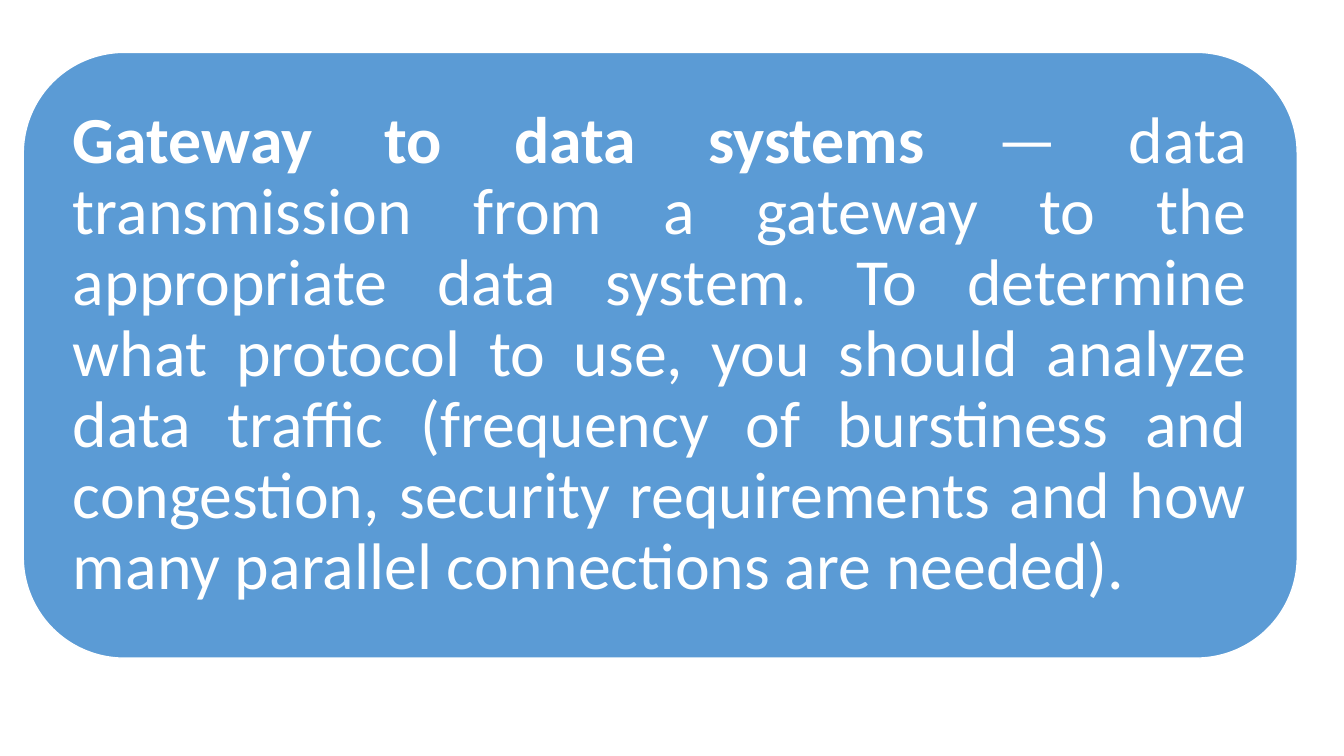
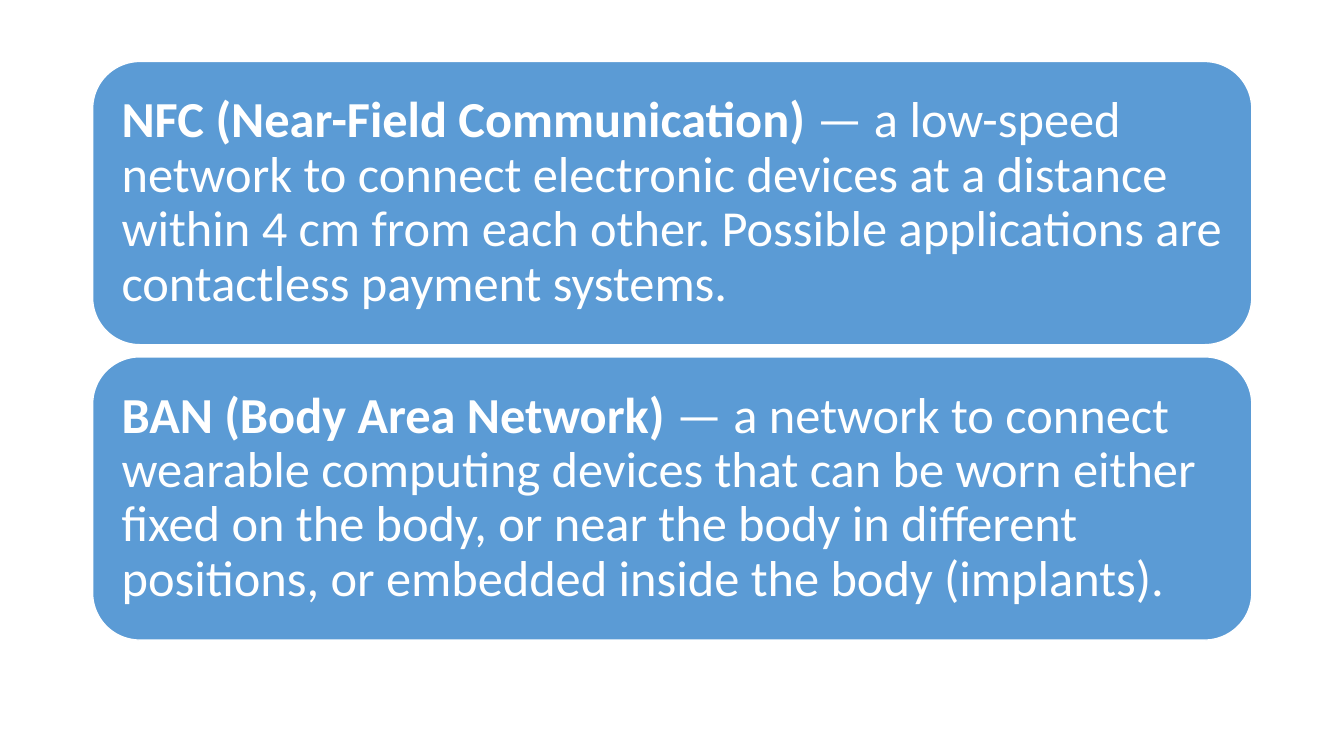
from pptx import Presentation
from pptx.dml.color import RGBColor
from pptx.enum.shapes import MSO_SHAPE
from pptx.enum.text import MSO_ANCHOR, PP_ALIGN
from pptx.util import Pt

ROUNDED = MSO_SHAPE.ROUNDED_RECTANGLE
MIDDLE = MSO_ANCHOR.MIDDLE
LEFT, JUSTIFY = PP_ALIGN.LEFT, PP_ALIGN.JUSTIFY

BLUE = "5B9BD5"
WHITE = "FFFFFF"
FONT = "Calibri"
BLANK_LAYOUT = 6
CARD_GAP = 8.7


def color(hex_string):
    return RGBColor.from_string(hex_string)


def add_card(slide, box, term, definition, size, inset, align):
    """Add a rounded card with a bold term followed by its definition."""
    card = slide.shapes.add_shape(ROUNDED, *map(Pt, box))
    card.shadow.inherit = False
    card.fill.solid()
    card.fill.fore_color.rgb = color(BLUE)
    card.line.color.rgb = color(WHITE)
    card.line.width = Pt(1)

    frame = card.text_frame
    frame.word_wrap = True
    frame.vertical_anchor = MIDDLE
    frame.margin_left = frame.margin_right = Pt(inset)
    frame.margin_top = frame.margin_bottom = Pt(inset)

    paragraph = frame.paragraphs[0]
    paragraph.alignment = align
    paragraph.line_spacing = 0.9
    paragraph.font.name = FONT
    paragraph.font.size = Pt(size)
    paragraph.font.color.rgb = color(WHITE)
    for text, bold in ((term, True), (f" — {definition}", False)):
        run = paragraph.add_run()
        run.text = text
        run.font.bold = bold


presentation = Presentation()
presentation.slide_width = Pt(960)
presentation.slide_height = Pt(540)

slides = [
    {
        "first_box": (16.6, 37.4, 910, 432.7),
        "style": {"size": 47, "inset": 14.4, "align": JUSTIFY},
        "entries": [
            ("Gateway to data systems",
             "data transmission from a gateway to the appropriate data system. "
             "To determine what protocol to use, you should analyze data traffic "
             "(frequency of burstiness and congestion, security requirements and "
             "how many parallel connections are needed)."),
        ],
    },
    {
        "first_box": (66.2, 43.9, 828, 202.3),
        "style": {"size": 36, "inset": 10.8, "align": LEFT},
        "entries": [
            ("NFC (Near-Field Communication)",
             "a low-speed network to connect electronic devices at a distance "
             "within 4 cm from each other. Possible applications are contactless "
             "payment systems."),
            ("BAN (Body Area Network)",
             "a network to connect wearable computing devices that can be worn "
             "either fixed on the body, or near the body in different positions, "
             "or embedded inside the body (implants)."),
        ],
    },
]

for content in slides:
    slide = presentation.slides.add_slide(presentation.slide_layouts[BLANK_LAYOUT])
    left, top, width, height = content["first_box"]
    for row, (term, definition) in enumerate(content["entries"]):
        box = (left, top + row * (height + CARD_GAP), width, height)
        add_card(slide, box, term, definition, **content["style"])

presentation.save("out.pptx")
